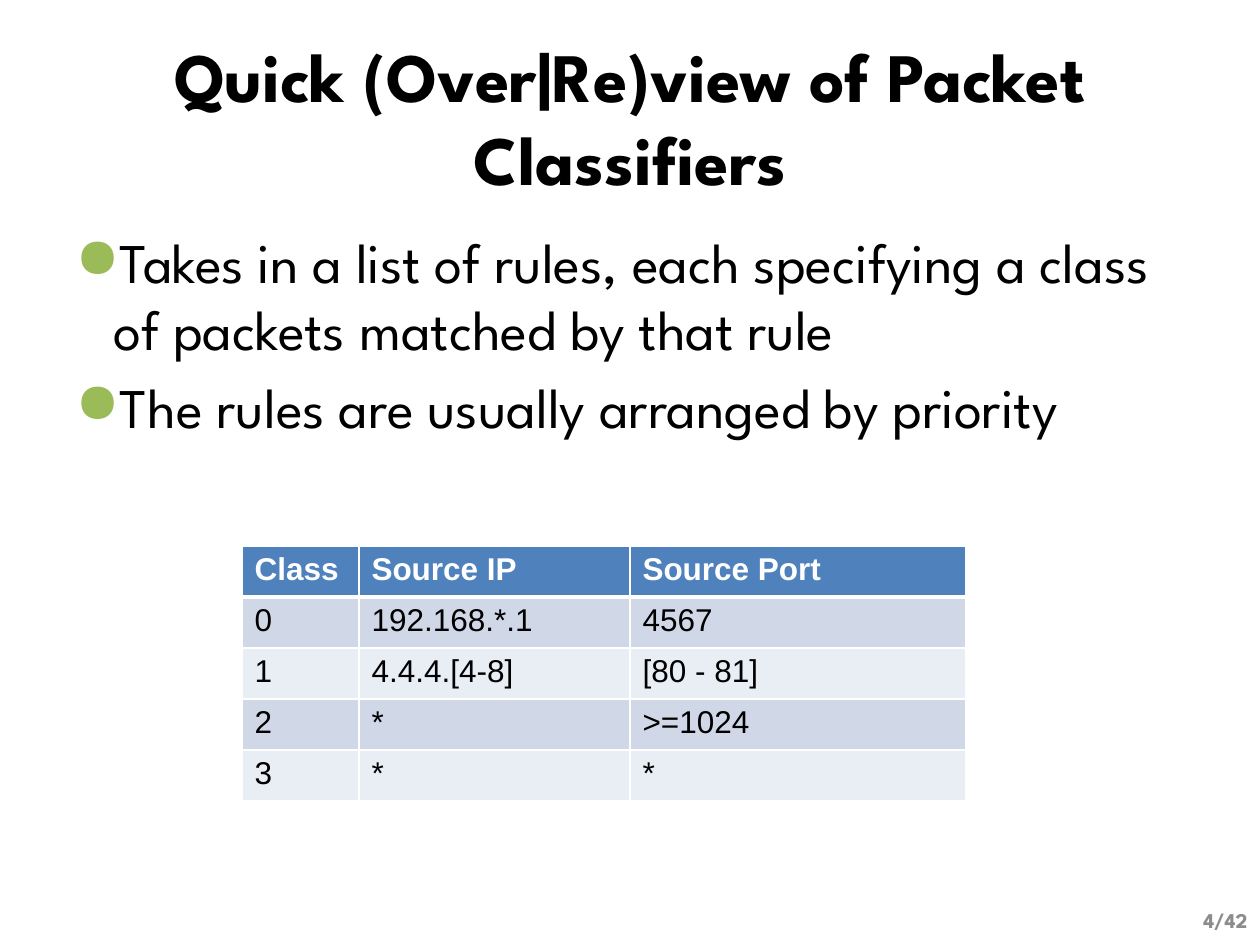
"""Build the slide that reviews packet classifiers."""
from lxml.etree import SubElement
from pptx import Presentation
from pptx.dml.color import RGBColor
from pptx.enum.text import MSO_ANCHOR as Anchor, PP_ALIGN as Align
from pptx.oxml.ns import qn
from pptx.util import Emu, Pt

TITLE = "Quick (Over|Re)view of Packet Classifiers"
BULLETS = [
    "Takes in a list of rules, each specifying a class of packets matched by that rule",
    "The rules are usually arranged by priority",
]
RULES = [
    ("Class", "Source IP", "Source Port"),
    ("0", "192.168.*.1", "4567"),
    ("1", "4.4.4.[4-8]", "[80 - 81]"),
    ("2", "*", ">=1024"),
    ("3", "*", "*"),
]
PAGE = "4/42"

COLORS = {
    "text": "000000", "white": "FFFFFF", "bullet": "9BBB59", "page": "8C8C8C",
    "header": "4F81BD", "odd": "D0D8E8", "even": "E9EDF4",
}
DISPLAY, BODY = "League Spartan", "Arial"
COLUMNS = [117, 271, 336]
ROW_HEIGHT = 51
BULLET_INDENT = 38


def px(value):
    return Emu(value * 914400 // 126)


def add_bullet(paragraph):
    properties = paragraph._p.get_or_add_pPr()
    properties.set("marL", str(px(BULLET_INDENT)))
    properties.set("indent", str(-px(BULLET_INDENT)))
    color = SubElement(properties, qn("a:buClr"))
    SubElement(color, qn("a:srgbClr"), val=COLORS["bullet"])
    SubElement(properties, qn("a:buChar"), char="●")


def write(frame, lines, size=18, font=DISPLAY, color="text", bold=False,
          align=Align.LEFT, anchor=Anchor.TOP, bullet=False, gap=0):
    frame.word_wrap = True
    frame.vertical_anchor = anchor
    for index, line in enumerate(lines):
        paragraph = frame.add_paragraph() if index else frame.paragraphs[0]
        paragraph.alignment = align
        if index:
            paragraph.space_before = Pt(gap)
        if bullet:
            add_bullet(paragraph)
        run = paragraph.add_run()
        run.text = line
        run.font.size = Pt(size)
        run.font.name = font
        run.font.bold = bold
        run.font.color.rgb = RGBColor.from_string(COLORS[color])


def add_text(slide, box, lines, **style):
    shape = slide.shapes.add_textbox(*map(px, box))
    write(shape.text_frame, lines, **style)


def set_borders(cell, bottom):
    properties = cell._tc.get_or_add_tcPr()
    for index, (side, width) in enumerate(zip("LRTB", (1, 1, 1, bottom))):
        line = SubElement(properties, qn(f"a:ln{side}"), w=str(Pt(width)))
        fill = SubElement(line, qn("a:solidFill"))
        SubElement(fill, qn("a:srgbClr"), val=COLORS["white"])
        properties.insert(index, line)


def add_rules_table(slide, left, top):
    size = sum(COLUMNS), ROW_HEIGHT * len(RULES)
    table = slide.shapes.add_table(
        len(RULES), len(COLUMNS), *map(px, (left, top, *size))).table
    for column, width in zip(table.columns, COLUMNS):
        column.width = px(width)
    for row, values in enumerate(RULES):
        header = row == 0
        fill = "header" if header else "odd" if row % 2 else "even"
        for column, value in enumerate(values):
            cell = table.cell(row, column)
            cell.fill.solid()
            cell.fill.fore_color.rgb = RGBColor.from_string(COLORS[fill])
            set_borders(cell, 3 if header else 1)
            write(cell.text_frame, [value], font=BODY, bold=header,
                  color="white" if header else "text")


def main():
    presentation = Presentation()
    presentation.slide_width, presentation.slide_height = px(1260), px(945)
    slide = presentation.slides.add_slide(presentation.slide_layouts[6])
    add_text(slide, (63, 38, 1134, 157), [TITLE], size=39.6, bold=True,
             align=Align.CENTER, anchor=Anchor.MIDDLE)
    add_text(slide, (63, 221, 1134, 624), BULLETS, size=32, bullet=True, gap=6.4)
    add_rules_table(slide, 242, 546)
    add_text(slide, (966, 895, 294, 50), [PAGE], size=12, color="page", bold=True,
             align=Align.RIGHT, anchor=Anchor.MIDDLE)
    presentation.save("out.pptx")


if __name__ == "__main__":
    main()
